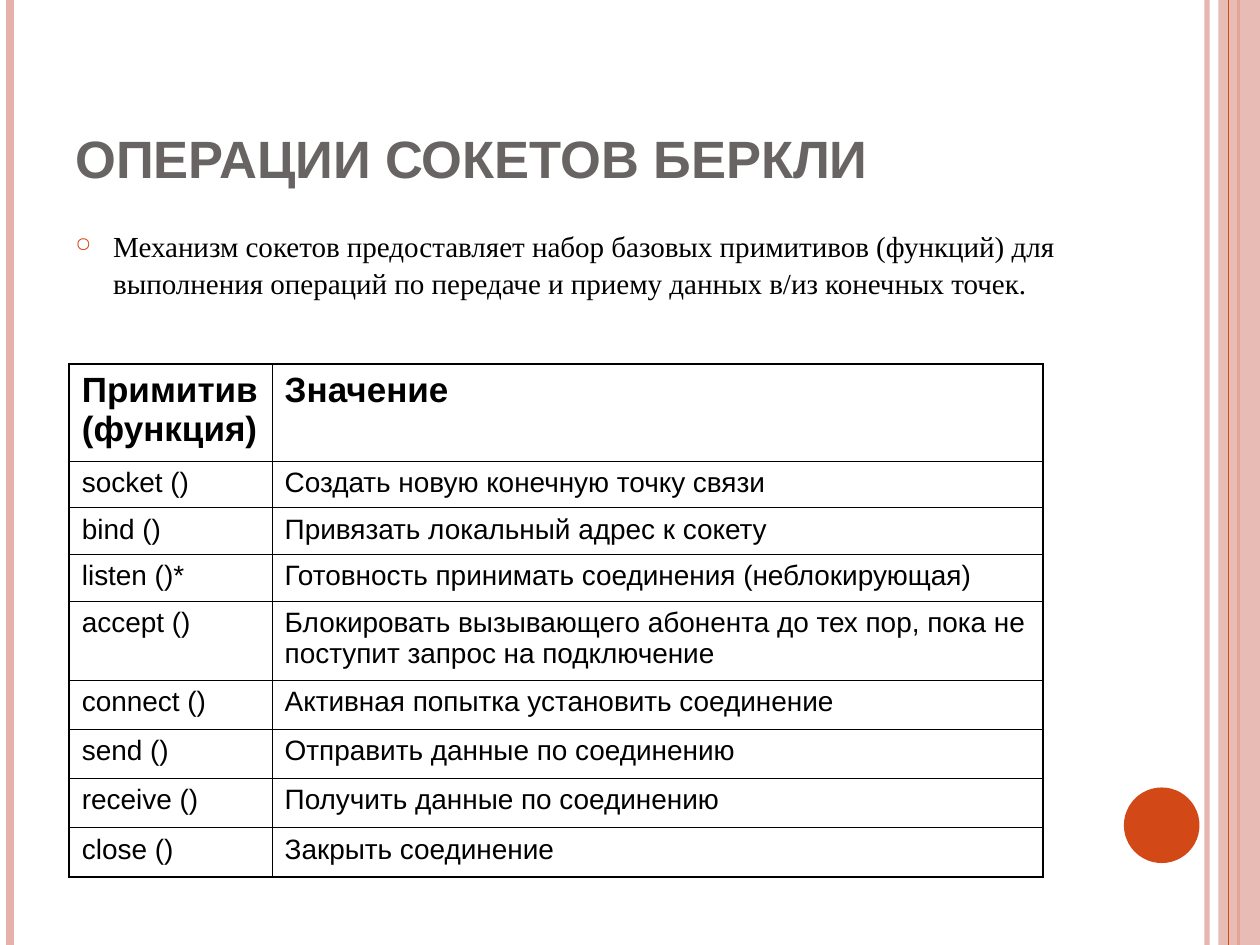
from lxml import etree
from pptx import Presentation
from pptx.dml.color import RGBColor
from pptx.enum.shapes import MSO_CONNECTOR, MSO_SHAPE
from pptx.enum.text import MSO_ANCHOR
from pptx.oxml.ns import qn
from pptx.util import Inches, Pt

STRAIGHT = MSO_CONNECTOR.STRAIGHT
RECTANGLE, OVAL = MSO_SHAPE.RECTANGLE, MSO_SHAPE.OVAL
TOP, BOTTOM = MSO_ANCHOR.TOP, MSO_ANCHOR.BOTTOM

WIDTH, HEIGHT = 10, 7.5
COLORS = {"pink": "E6B1AB", "orange": "D34817", "gray": "696464", "black": "000000"}
TITLE = "ОПЕРАЦИИ СОКЕТОВ БЕРКЛИ"
INTRO = (
    "Механизм сокетов предоставляет набор базовых примитивов (функций) для "
    "выполнения операций по передаче и приему данных в/из конечных точек."
)
ROWS = [
    ("Примитив (функция)", "Значение"),
    ("socket ()", "Создать новую конечную точку связи"),
    ("bind ()", "Привязать локальный адрес к сокету"),
    ("listen ()*", "Готовность принимать соединения (неблокирующая)"),
    ("accept ()", "Блокировать вызывающего абонента до тех пор, пока не поступит запрос на подключение"),
    ("connect ()", "Активная попытка установить соединение"),
    ("send ()", "Отправить данные по соединению"),
    ("receive ()", "Получить данные по соединению"),
    ("close ()", "Закрыть соединение"),
]
COLUMN_WIDTHS = [1.61, 6.12]
ROW_HEIGHTS = [0.77] + [0.37] * 3 + [0.63] + [0.39] * 4
TABLE_LEFT, TABLE_TOP = 0.55, 2.89
OUTER, INNER = 1.08, 0.45
BACK_STRIPES = [(9.58, "pink", 3, 93), (0.08, "pink", 4.5, 100), (9.83, "orange", 1.5, 100)]
FRONT_STRIPES = [(9.75, "orange", 0.75, 100)]


def color(name):
    return RGBColor.from_string(COLORS[name])


def set_opacity(shape, percent):
    for node in shape._element.spPr.iter(qn("a:srgbClr")):
        etree.SubElement(node, qn("a:alpha"), val=str(percent * 1000))


def add_stripes(page, stripes):
    for x, name, weight, opacity in stripes:
        stripe = page.shapes.add_connector(
            STRAIGHT, Inches(x), 0, Inches(x), Inches(HEIGHT))
        stripe.line.color.rgb = color(name)
        stripe.line.width = Pt(weight)
        if opacity < 100:
            set_opacity(stripe, opacity)
        etree.SubElement(stripe._element.spPr, qn("a:effectLst"))


def add_solid(page, kind, place, name):
    solid = page.shapes.add_shape(kind, *map(Inches, place))
    solid.shadow.inherit = False
    solid.fill.solid()
    solid.fill.fore_color.rgb = color(name)
    solid.line.fill.background()
    return solid


def write(para, text, font, size, name, bold=False):
    span = para.add_run()
    span.text = text
    span.font.name = font
    span.font.size = Pt(size)
    span.font.bold = bold
    span.font.color.rgb = color(name)


def add_text_box(page, place, anchor):
    box = page.shapes.add_textbox(*map(Inches, place))
    box.text_frame.word_wrap = True
    box.text_frame.vertical_anchor = anchor
    return box.text_frame.paragraphs[0]


def add_bullet(para):
    properties = para._p.get_or_add_pPr()
    properties.set("marL", str(Inches(0.3)))
    properties.set("indent", str(Inches(-0.3)))
    tint = etree.SubElement(properties, qn("a:buClr"))
    etree.SubElement(tint, qn("a:srgbClr"), val=COLORS["orange"])
    etree.SubElement(properties, qn("a:buSzPct"), val="70000")
    etree.SubElement(properties, qn("a:buChar"), char="○")


def set_borders(cell, weights):
    properties = cell._tc.get_or_add_tcPr()
    for index, (side, weight) in enumerate(weights.items()):
        edge = etree.Element(qn(f"a:ln{side}"), w=str(Pt(weight)))
        fill = etree.SubElement(edge, qn("a:solidFill"))
        etree.SubElement(fill, qn("a:srgbClr"), val=COLORS["black"])
        properties.insert(index, edge)


def add_primitives(page):
    last_row, last_column = len(ROWS) - 1, len(COLUMN_WIDTHS) - 1
    place = (TABLE_LEFT, TABLE_TOP, sum(COLUMN_WIDTHS), sum(ROW_HEIGHTS))
    table = page.shapes.add_table(
        len(ROWS), len(COLUMN_WIDTHS), *map(Inches, place)).table
    table.first_row = table.horz_banding = False
    for column, width in zip(table.columns, COLUMN_WIDTHS):
        column.width = Inches(width)
    for r, (texts, height) in enumerate(zip(ROWS, ROW_HEIGHTS)):
        table.rows[r].height = Inches(height)
        header = r == 0
        for c, text in enumerate(texts):
            cell = table.cell(r, c)
            cell.fill.background()
            para = cell.text_frame.paragraphs[0]
            para.space_before = Pt(5 if header else 4)
            write(para, text, "Arial", 20 if header else 16, "black", header)
            set_borders(cell, {
                "L": OUTER if c == 0 else INNER,
                "R": OUTER if c == last_column else INNER,
                "T": OUTER if header else INNER,
                "B": OUTER if r == last_row else INNER,
            })


def main():
    deck = Presentation()
    deck.slide_width, deck.slide_height = Inches(WIDTH), Inches(HEIGHT)
    page = deck.slides.add_slide(deck.slide_layouts[6])

    add_stripes(page, BACK_STRIPES)
    band = add_solid(page, RECTANGLE, (9.67, 0, 0.33, HEIGHT), "pink")
    set_opacity(band, 87)
    add_stripes(page, FRONT_STRIPES)
    add_solid(page, OVAL, (8.92, 6.25, 0.6, 0.6), "orange")
    add_primitives(page)

    title = add_text_box(page, (0.5, 0.3, 8.17, 1.25), BOTTOM)
    write(title, TITLE, "Arial", 30, "gray", True)
    intro = add_text_box(page, (0.5, 1.75, 8.17, 0.98), TOP)
    intro.space_before = Pt(6)
    intro.line_spacing = 1.05
    add_bullet(intro)
    write(intro, INTRO, "Times New Roman", 16.6, "black")

    deck.save("out.pptx")


if __name__ == "__main__":
    main()
